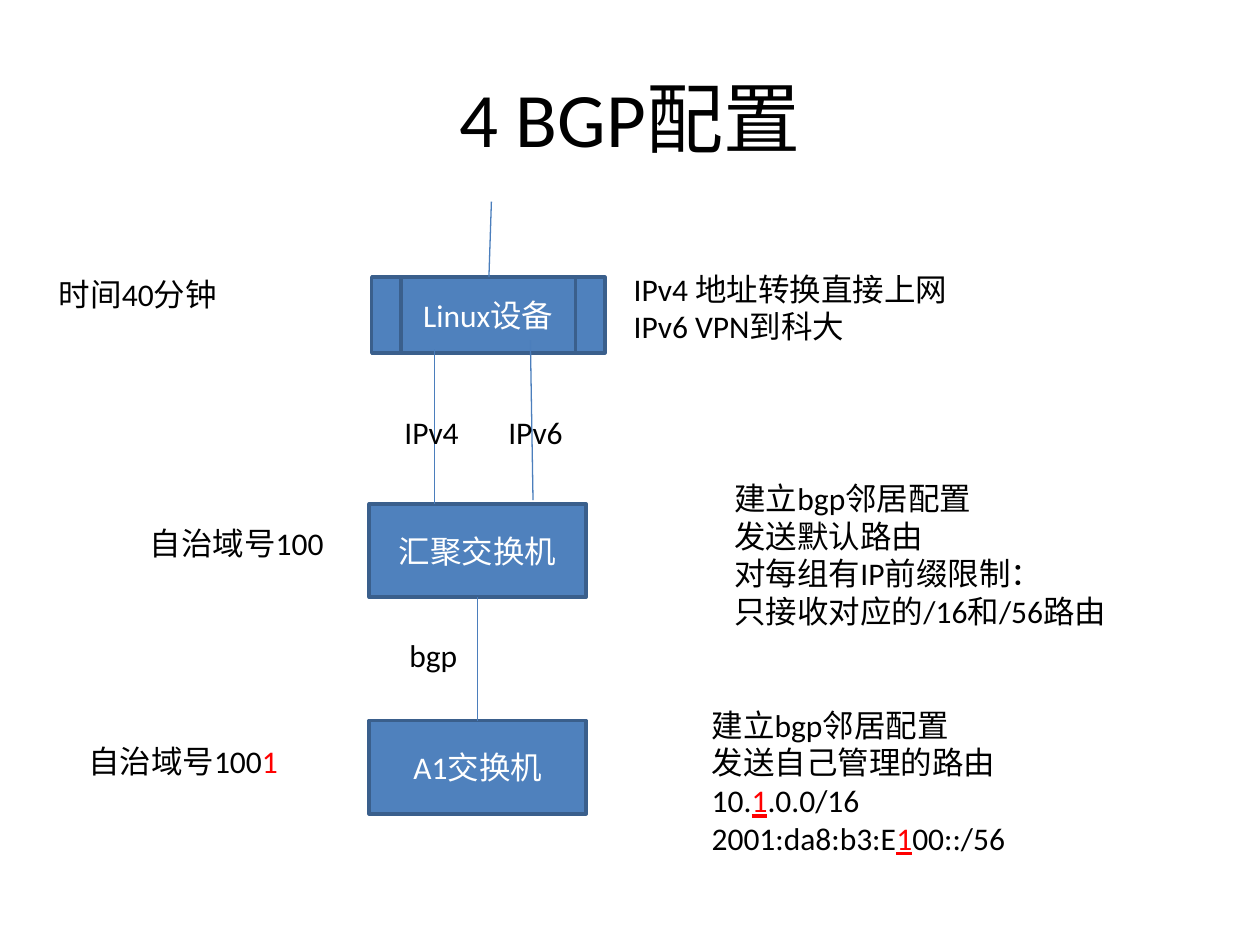
from pptx import Presentation
from pptx.dml.color import RGBColor
from pptx.enum.shapes import MSO_CONNECTOR as Connector, MSO_SHAPE as Preset
from pptx.enum.text import MSO_ANCHOR as Anchor, MSO_AUTO_SIZE as AutoSize, PP_ALIGN as Align
from pptx.oxml.ns import qn
from pptx.util import Pt
from lxml.etree import SubElement

COLORS = {
    "text": "000000",
    "accent": "FF0000",
    "device": "4F81BD",
    "device_line": "3A5F8C",
    "link": "4B7EBC",
    "device_text": "FFFFFF",
}


def color(name):
    return RGBColor.from_string(COLORS[name])


class Diagram:
    font_name = "Calibri"
    body_size = 18

    def __init__(self, slide):
        self.slide = slide

    def add_lines(self, frame, lines, size=body_size, ink="text", align=Align.LEFT):
        frame.word_wrap = True
        for index, line in enumerate(lines):
            paragraph = frame.paragraphs[0] if index == 0 else frame.add_paragraph()
            paragraph.alignment = align
            for part in [line] if isinstance(line, str) else line:
                text, run_ink, underline = (part, ink, False) if isinstance(part, str) else part
                run = paragraph.add_run()
                run.text = text
                run.font.name = self.font_name
                run.font.size = Pt(size)
                run.font.color.rgb = color(run_ink)
                if underline:
                    run.font.underline = True

    def title(self, text, left, top, width, height):
        shape = self.slide.shapes.add_textbox(Pt(left), Pt(top), Pt(width), Pt(height))
        shape.text_frame.vertical_anchor = Anchor.MIDDLE
        self.add_lines(shape.text_frame, [text], size=44, align=Align.CENTER)

    def note(self, lines, left, top, width, height, tab=None):
        shape = self.slide.shapes.add_textbox(Pt(left), Pt(top), Pt(width), Pt(height))
        self.add_lines(shape.text_frame, lines)
        shape.text_frame.auto_size = AutoSize.SHAPE_TO_FIT_TEXT
        if tab:
            properties = shape.text_frame.paragraphs[0]._p.get_or_add_pPr()
            tabs = SubElement(properties, qn("a:tabLst"))
            SubElement(tabs, qn("a:tab"), pos=str(Pt(tab)), algn="l")

    def device(self, text, left, top, width, height, preset=Preset.RECTANGLE):
        shape = self.slide.shapes.add_shape(preset, Pt(left), Pt(top), Pt(width), Pt(height))
        shape.shadow.inherit = False
        shape.fill.solid()
        shape.fill.fore_color.rgb = color("device")
        shape.line.color.rgb = color("device_line")
        shape.line.width = Pt(2)
        shape.text_frame.vertical_anchor = Anchor.MIDDLE
        self.add_lines(shape.text_frame, [text], ink="device_text", align=Align.CENTER)

    def link(self, x1, y1, x2, y2):
        line = self.slide.shapes.add_connector(
            Connector.STRAIGHT, Pt(x1), Pt(y1), Pt(x2), Pt(y2))
        line.line.color.rgb = color("link")
        line.line.width = Pt(0.75)
        SubElement(line._element.spPr, qn("a:effectLst"))


presentation = Presentation()
presentation.slide_width = Pt(720)
presentation.slide_height = Pt(540)
slide = presentation.slides.add_slide(presentation.slide_layouts[6])
diagram = Diagram(slide)

diagram.title("4 BGP配置", 36, 21.6, 648, 90)

for name, top in [("汇聚交换机", 288), ("A1交换机", 411.8)]:
    diagram.device(name, 211, top, 124, 53.3)
diagram.device("Linux设备", 212.4, 158.4, 133.2, 43.2, Preset.FLOWCHART_PREDEFINED_PROCESS)

for ends in [
    (272.9, 341.3, 272.9, 411.8),
    (248.4, 288, 248.4, 199.4),
    (304.6, 285.8, 303.1, 194.4),
    (279.4, 158.4, 280.8, 115.2),
]:
    diagram.link(*ends)

neighbor = "建立bgp邻居配置"
domain = "自治域号100"
group = ("1", "accent", True)

diagram.note(
    [neighbor, "发送默认路由", "对每组有IP前缀限制：", "只接收对应的/16和/56路由"],
    412.6, 270, 229, 94.3)
diagram.note(
    [neighbor, "发送自己管理的路由", ["10.", group, ".0.0/16"], ["2001:da8:b3:E", group, "00::/56"]],
    399.6, 399.6, 184.3, 94.3)
diagram.note([domain], 78.5, 296, 115.2, 28.8)
diagram.note([[domain, ("1", "accent", False)]], 43.2, 420.5, 123.8, 28.8)
diagram.note(["IPv4 地址转换直接上网", "IPv6 VPN到科大"], 355, 150.5, 195, 51)
diagram.note(["时间40分钟"], 26.6, 153.4, 105.8, 28.8)
diagram.note(["IPv4\tIPv6"], 224, 232.6, 106.6, 28.8, tab=59.4)
diagram.note(["bgp"], 226.8, 360, 42.5, 28.8)

presentation.save("out.pptx")
